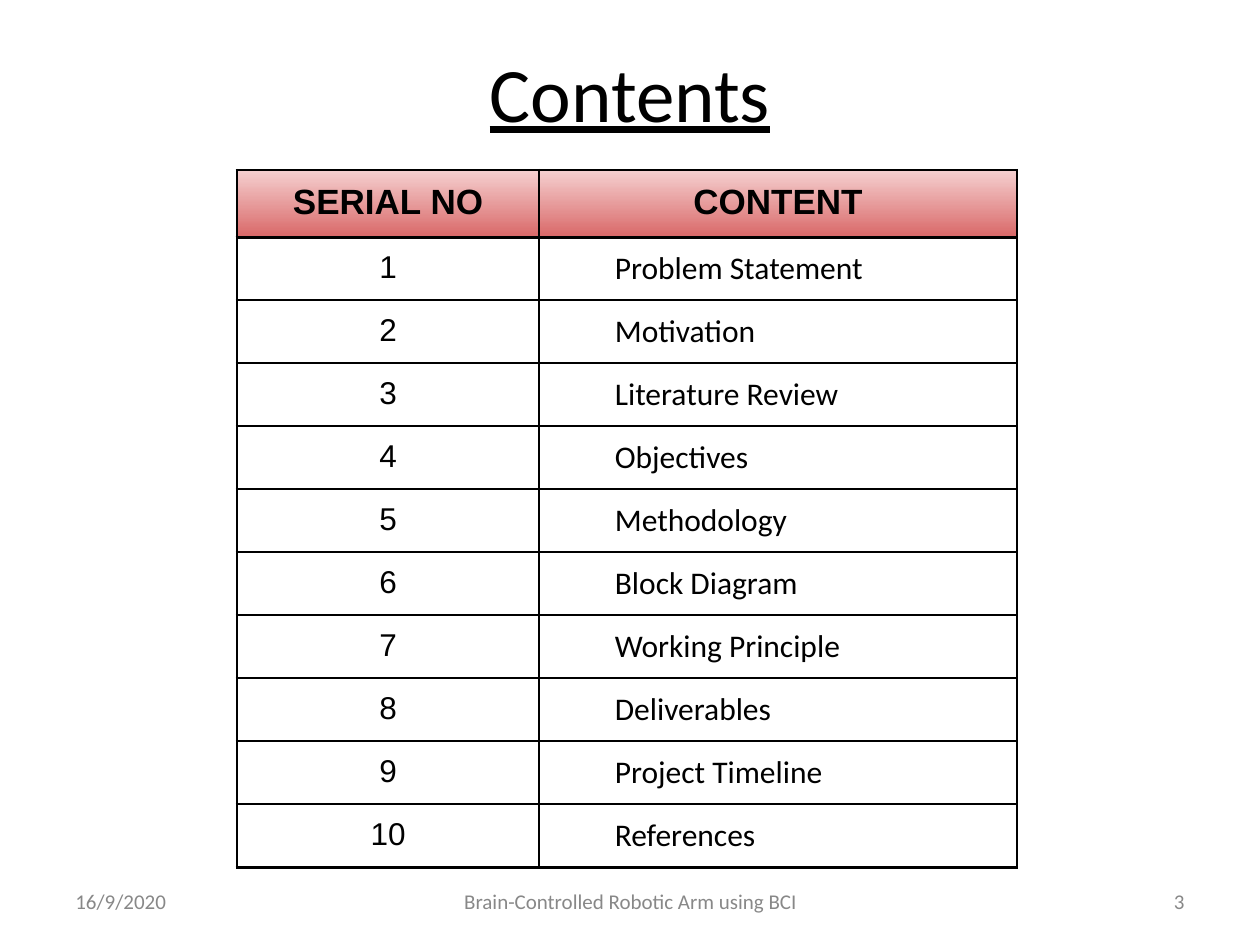
from dataclasses import dataclass

from lxml.etree import SubElement
from pptx import Presentation
from pptx.dml.color import RGBColor
from pptx.enum.text import MSO_ANCHOR, PP_ALIGN as Align
from pptx.oxml.ns import qn
from pptx.util import Inches, Pt

BLACK, GREY = "000000", "888888"
HEADER_STOPS = ("F5D0D0", "D96868")
TABLE_LEFT = 1.88
COLUMN_WIDTHS = (2.4, 3.79)
TOPICS = (
    "Problem Statement", "Motivation", "Literature Review", "Objectives",
    "Methodology", "Block Diagram", "Working Principle", "Deliverables",
    "Project Timeline", "References",
)


@dataclass(frozen=True)
class Style:
    font: str = "Calibri"
    size: float = 18
    color: str = BLACK
    bold: bool = False
    underline: bool = False
    align: Align = Align.LEFT
    indent: float = 0


@dataclass(frozen=True)
class Label:
    text: str
    left: float
    top: float
    width: float
    height: float
    style: Style


HEADING = Style("Arial", 20, bold=True, align=Align.CENTER)
NUMBER = Style("Arial", align=Align.CENTER)
TOPIC = Style(indent=0.5)

LABELS = (
    Label("Contents", 0.5, 0.14, 9, 1.17,
          Style(size=44, underline=True, align=Align.CENTER)),
    Label("16/9/2020", 0.5, 6.95, 2.33, 0.4, Style(size=12, color=GREY)),
    Label("Brain-Controlled Robotic Arm using BCI", 3.42, 6.95, 3.17, 0.4,
          Style(size=12, color=GREY, align=Align.CENTER)),
    Label("3", 7.17, 6.95, 2.33, 0.4,
          Style(size=12, color=GREY, align=Align.RIGHT)),
)


def rgb(value: str) -> RGBColor:
    return RGBColor.from_string(value)


def write(tf, text: str, style: Style) -> None:
    p = tf.paragraphs[0]
    p.alignment = style.align
    if style.indent:
        pPr = p._p.get_or_add_pPr()
        pPr.set("marL", str(Inches(style.indent)))
        pPr.set("indent", "0")
    r = p.add_run()
    r.text = text
    r.font.name = style.font
    r.font.size = Pt(style.size)
    r.font.bold = style.bold
    r.font.underline = style.underline
    r.font.color.rgb = rgb(style.color)


def add_label(s, label: Label) -> None:
    sp = s.shapes.add_textbox(Inches(label.left), Inches(label.top),
                              Inches(label.width), Inches(label.height))
    tf = sp.text_frame
    tf.word_wrap = True
    tf.vertical_anchor = MSO_ANCHOR.MIDDLE
    write(tf, label.text, label.style)


def add_borders(cell) -> None:
    tcPr = cell._tc.get_or_add_tcPr()
    for side in ("lnL", "lnR", "lnT", "lnB"):
        ln = SubElement(tcPr, qn(f"a:{side}"), w=str(Pt(1.5)))
        fill = SubElement(ln, qn("a:solidFill"))
        SubElement(fill, qn("a:srgbClr"), val=BLACK)


def fill_header(cell) -> None:
    cell.fill.gradient()
    cell.fill.gradient_angle = 270
    for stop, color in zip(cell.fill.gradient_stops, HEADER_STOPS):
        stop.color.rgb = rgb(color)


def add_grid(s, top: float, row_height: float, rows: list[tuple[str, str]],
             styles: tuple[Style, Style], header: bool = False) -> None:
    frame = s.shapes.add_table(
        len(rows), len(COLUMN_WIDTHS), Inches(TABLE_LEFT), Inches(top),
        Inches(sum(COLUMN_WIDTHS)), Inches(row_height * len(rows)))
    table = frame.table
    table.first_row = header
    table.horz_banding = False
    for column, width in zip(table.columns, COLUMN_WIDTHS):
        column.width = Inches(width)
    for i, texts in enumerate(rows):
        table.rows[i].height = Inches(row_height)
        for j, (text, style) in enumerate(zip(texts, styles)):
            cell = table.cell(i, j)
            cell.margin_left = cell.margin_right = Inches(0.1)
            cell.margin_top = cell.margin_bottom = Inches(0.1)
            write(cell.text_frame, text, style)
            add_borders(cell)
            if header:
                fill_header(cell)
            else:
                cell.fill.background()


def main() -> None:
    prs = Presentation()
    prs.slide_width, prs.slide_height = Inches(10), Inches(7.5)
    s = prs.slides.add_slide(prs.slide_layouts[6])
    for label in LABELS:
        add_label(s, label)
    topics = [(str(n), topic) for n, topic in enumerate(TOPICS, 1)]
    add_grid(s, 1.88, 0.47, topics, (NUMBER, TOPIC))
    add_grid(s, 1.35, 0.4, [("SERIAL NO", "CONTENT")], (HEADING, HEADING),
             header=True)
    prs.save("out.pptx")


if __name__ == "__main__":
    main()
